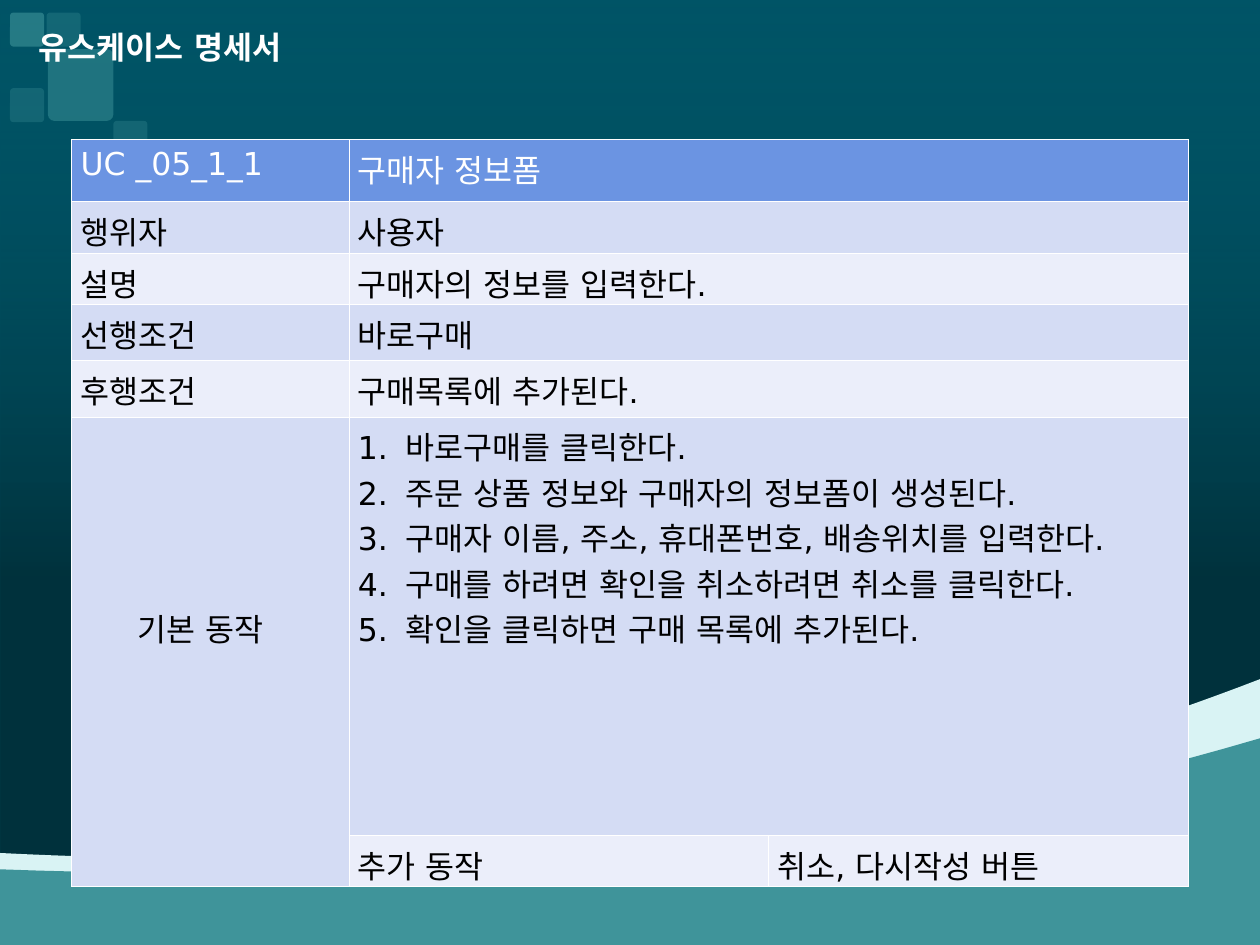
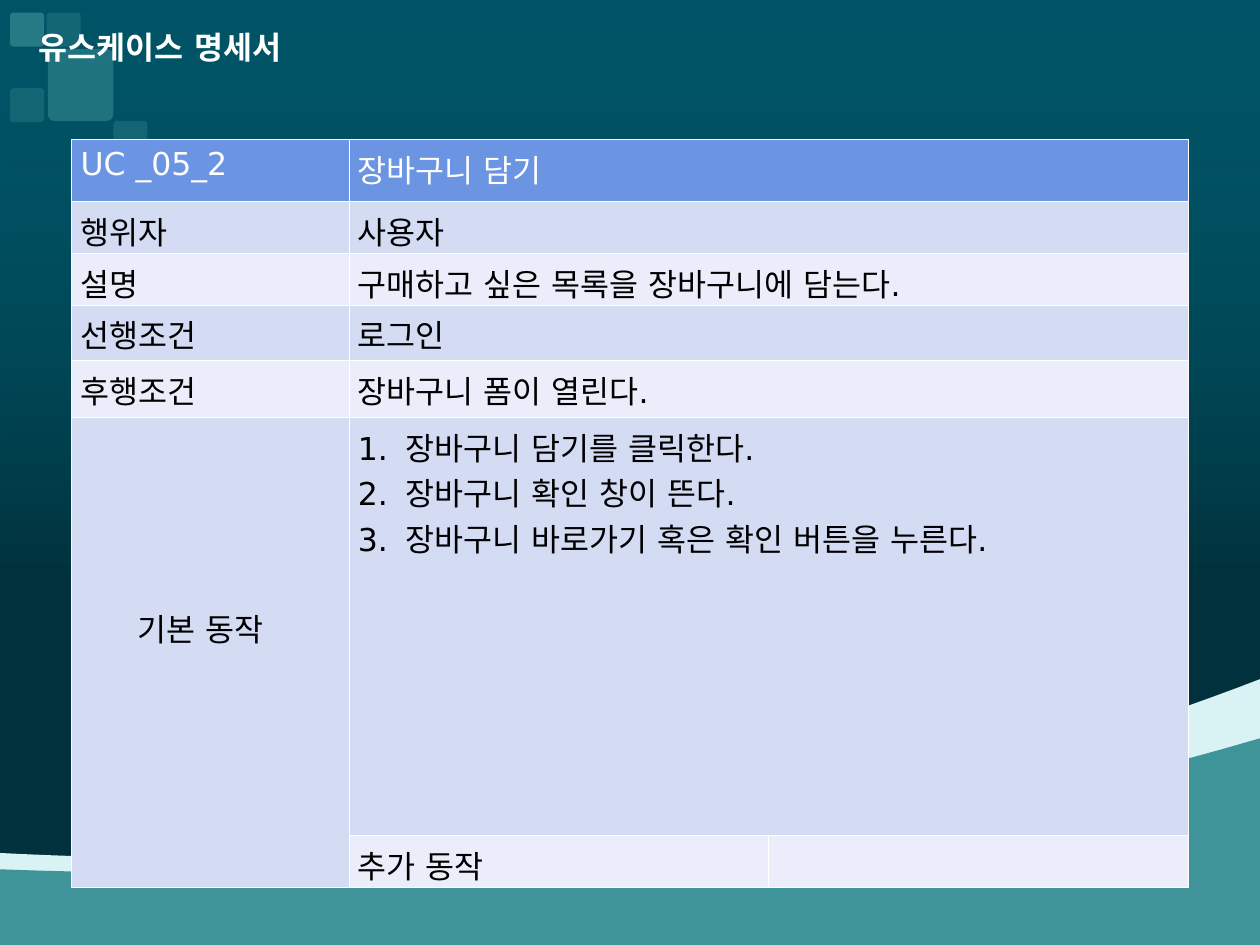
"""Build two use case specification slides with a shared teal backdrop."""
from lxml import etree
from pptx import Presentation
from pptx.dml.color import RGBColor as Rgb
from pptx.enum import shapes, text
from pptx.oxml import ns
from pptx.util import Inches, Pt

HUES = {"deep": "005466", "black": "000000", "white": "FFFFFF", "foam": "D9F3F4",
        "teal": "3F949A", "head": "6B94E2", "odd": "D4DCF4", "even": "EBEEFA"}
INK = {name: Rgb.from_string(code) for name, code in HUES.items()}
FACE = "DejaVu Sans"
PADS = {"margin_left": 0.07, "margin_right": 0.07, "margin_top": 0.11, "margin_bottom": 0}
WAVES = [
    ("foam", (0, 6.77), [(1.61, 6.85, 2.93, 6.82, 5.21, 6.59), (7.49, 6.35, 9.48, 5.59, 10, 5.39)]),
    ("teal", (0, 6.9), [(2.46, 6.99, 4.45, 6.86, 6.15, 6.67), (7.84, 6.49, 9.59, 5.98, 10, 5.86)]),
]
TILES = [(0.37, 0.1, 0.27, 0.27, 30), (0.08, 0.7, 0.27, 0.27, 30), (0.08, 0.1, 0.27, 0.27, 60),
         (0.9, 0.96, 0.27, 0.27, 30), (0.38, 0.39, 0.52, 0.57, 50)]
COLS = [2.2, 3.33, 3.33]
ROWS = [0.49, 0.41, 0.41, 0.44, 0.45, 3.32, 0.41]
NAMES = ["행위자", "설명", "선행조건", "후행조건", "기본 동작"]
CASES = [
    ("UC _05_1_1",
     ["구매자 정보폼", "사용자", "구매자의 정보를 입력한다.", "바로구매", "구매목록에 추가된다."],
     ["바로구매를 클릭한다.", "주문 상품 정보와 구매자의 정보폼이 생성된다.",
      "구매자 이름, 주소, 휴대폰번호, 배송위치를 입력한다.",
      "구매를 하려면 확인을 취소하려면 취소를 클릭한다.", "확인을 클릭하면 구매 목록에 추가된다."],
     "취소, 다시작성 버튼"),
    ("UC _05_2",
     ["장바구니 담기", "사용자", "구매하고 싶은 목록을 장바구니에 담는다.", "로그인",
      "장바구니 폼이 열린다."],
     ["장바구니 담기를 클릭한다.", "장바구니 확인 창이 뜬다.",
      "장바구니 바로가기 혹은 확인 버튼을 누른다."],
     ""),
]


def write(frame, lines, hue, bold=False):
    frame.text = "\n".join(lines)
    for para in frame.paragraphs:
        for run in para.runs:
            for key, val in {"size": Pt(18), "name": FACE, "bold": bold}.items():
                setattr(run.font, key, val)
            run.font.color.rgb = INK[hue]
            latin = run.font._element.find(ns.qn("a:latin"))
            east = etree.Element(ns.qn("a:ea"), typeface=FACE)
            latin.addnext(east)


def fade(fill, alphas):
    for tint, alpha in zip(fill.iter(ns.qn("a:srgbClr")), alphas):
        etree.SubElement(tint, ns.qn("a:alpha"), val=str(alpha * 1000))


deck = Presentation()
deck.slide_width, deck.slide_height = Inches(10), Inches(7.5)
for code, facts, steps, extra in CASES:
    slide = deck.slides.add_slide(deck.slide_layouts[6])
    slide.background.fill.solid()
    slide.background.fill.fore_color.rgb = INK["deep"]

    shade = slide.shapes.add_shape(
        shapes.MSO_SHAPE.RECTANGLE, 0, 0, deck.slide_width, deck.slide_height)
    shade.shadow.inherit = False
    shade.line.fill.background()
    shade.fill.gradient()
    shade.fill.gradient_angle = 270
    for stop, hue, place in zip(shade.fill.gradient_stops, ("deep", "black"), (0, 0.61)):
        stop.color.rgb = INK[hue]
        stop.position = place
    fade(shade._element.spPr, [0, 40])

    for hue, start, curves in WAVES:
        dots = [start]
        for ax, ay, bx, by, cx, cy in curves:
            px, py = dots[-1]
            for step in range(1, 25):
                t = step / 24
                s = 1 - t
                dots.append((s**3 * px + 3 * s * s * t * ax + 3 * s * t * t * bx + t**3 * cx,
                             s**3 * py + 3 * s * s * t * ay + 3 * s * t * t * by + t**3 * cy))
        dots += [(10, 7.5), (0, 7.5)]
        dots = [(Inches(x), Inches(y)) for x, y in dots]
        pen = slide.shapes.build_freeform(*dots[0])
        pen.add_line_segments(dots[1:], close=True)
        wave = pen.convert_to_shape()
        wave.shadow.inherit = False
        wave.line.fill.background()
        wave.fill.solid()
        wave.fill.fore_color.rgb = INK[hue]

    for *box, alpha in TILES:
        tile = slide.shapes.add_shape(
            shapes.MSO_SHAPE.ROUNDED_RECTANGLE, *[Inches(n) for n in box])
        tile.adjustments[0] = 0.1
        tile.shadow.inherit = False
        tile.line.fill.background()
        tile.fill.solid()
        tile.fill.fore_color.rgb = INK["teal"]
        fade(tile._element.spPr, [alpha])

    grid = slide.shapes.add_table(
        len(ROWS), len(COLS), Inches(0.57), Inches(1.11),
        Inches(sum(COLS)), Inches(sum(ROWS))).table
    grid.first_row = grid.horz_banding = False
    for col, wide in zip(grid.columns, COLS):
        col.width = Inches(wide)
    for row, high in zip(grid.rows, ROWS):
        row.height = Inches(high)
    for r in range(6):
        grid.cell(r, 1).merge(grid.cell(r, 2))
    grid.cell(5, 0).merge(grid.cell(6, 0))

    words = {(r, 0): [name] for r, name in enumerate([code] + NAMES)}
    words |= {(r, 1): [fact] for r, fact in enumerate(facts)}
    words |= {(5, 1): steps, (6, 1): ["추가 동작"], (6, 2): [extra]}
    for r in range(len(ROWS)):
        for c in range(len(COLS)):
            cell = grid.cell(r, c)
            for key, val in PADS.items():
                setattr(cell, key, Inches(val))
            for side in ("lnL", "lnR", "lnT", "lnB"):
                edge = etree.SubElement(cell._tc.get_or_add_tcPr(), ns.qn(f"a:{side}"),
                                        w=str(Pt(0.5)))
                solid = etree.SubElement(edge, ns.qn("a:solidFill"))
                etree.SubElement(solid, ns.qn("a:srgbClr"), val=HUES["white"])
            cell.fill.solid()
            cell.fill.fore_color.rgb = INK["head" if r == 0 else "odd" if r % 2 else "even"]
            if (r, c) in words:
                write(cell.text_frame, words[r, c], "black" if r else "white")

    grid.cell(0, 0).margin_top = Inches(0.05)
    grid.cell(5, 0).margin_left = Inches(0.52)
    grid.cell(5, 0).margin_top = Inches(1.55)
    for n, para in enumerate(grid.cell(5, 1).text_frame.paragraphs):
        para.space_before = Pt(5.1 if n else 0)
        props = para._p.get_or_add_pPr()
        props.set("marL", str(Inches(0.38)))
        props.set("indent", str(Inches(-0.38)))
        etree.SubElement(props, ns.qn("a:buAutoNum"), type="arabicPeriod")

    title = slide.shapes.add_textbox(Inches(0.21), Inches(0.17), Inches(5.38), Inches(0.4))
    title.text_frame.word_wrap = True
    title.text_frame.auto_size = text.MSO_AUTO_SIZE.SHAPE_TO_FIT_TEXT
    write(title.text_frame, ["유스케이스 명세서"], "white", True)

deck.save("out.pptx")
